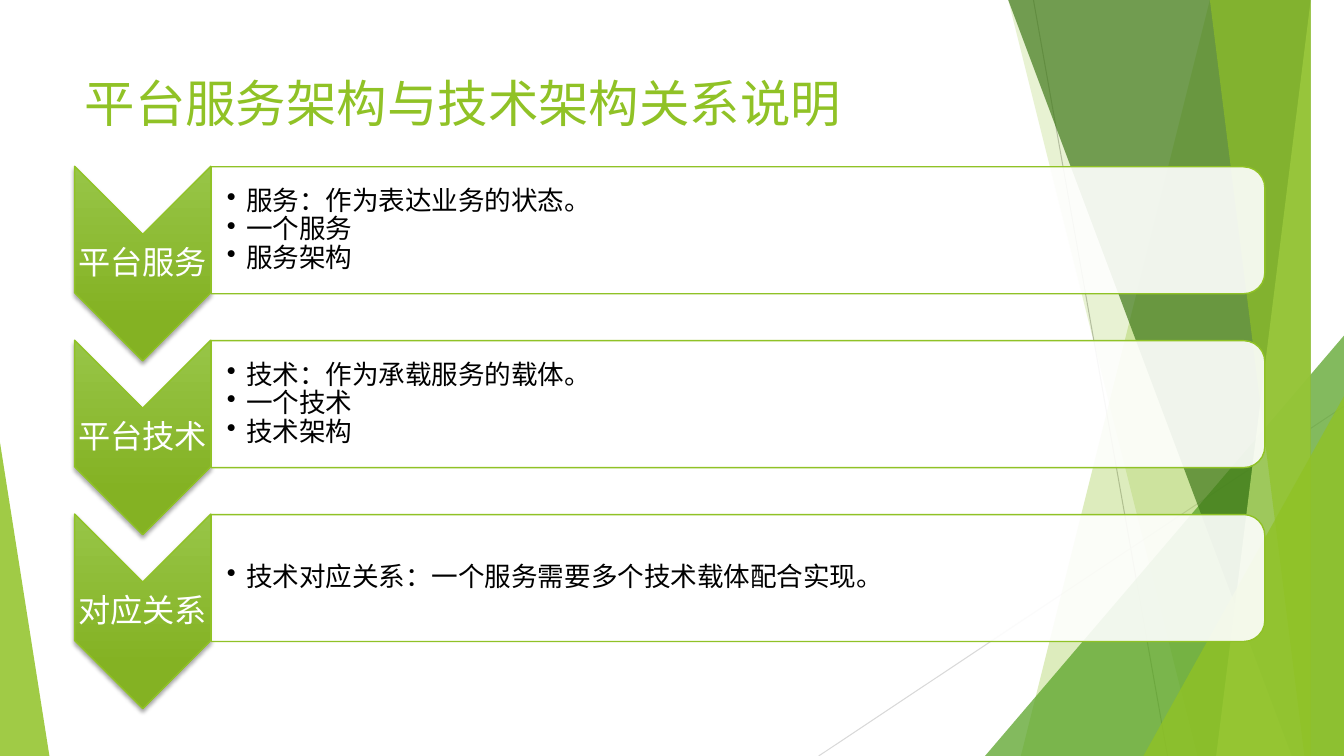
import pptx
import pptx.util
import pptx.oxml
import pptx.oxml.ns
import pptx.dml.color
import pptx.enum.shapes
import pptx.enum.text
from pptx.util import Inches

FONT = "Cabin"
GREEN = "90C226"
WHITE = "FFFFFF"
KIND = pptx.enum.shapes.MSO_SHAPE
ALIGN = pptx.enum.text.PP_ALIGN
ANCHOR = pptx.enum.text.MSO_ANCHOR

STEP = 1.725
ROWS = [
    ("平台服务", ["服务：作为表达业务的状态。", "一个服务", "服务架构"]),
    ("平台技术", ["技术：作为承载服务的载体。", "一个技术", "技术架构"]),
    ("对应关系", ["技术对应关系：一个服务需要多个技术载体配合实现。"]),
]


def color(code):
    return pptx.dml.color.RGBColor.from_string(code)


def node(tag, **attrs):
    item = pptx.oxml.parse_xml(f"<a:{tag} {pptx.oxml.ns.nsdecls('a')}/>")
    for key, value in attrs.items():
        item.set(key, str(value))
    return item


def paint(shape, code, alpha):
    """Fill a shape; alpha is its opacity in percent."""
    shape.shadow.inherit = False
    shape.fill.solid()
    shape.fill.fore_color.rgb = color(code)
    tint = shape.element.spPr.find(".//" + pptx.oxml.ns.qn("a:srgbClr"))
    tint.append(node("alpha", val=alpha * 1000))


def outline(shape, code, width):
    shape.line.color.rgb = color(code)
    shape.line.width = pptx.util.Pt(width)


def preset(slide, kind, box, turn=0):
    shape = slide.shapes.add_shape(kind, *map(Inches, box))
    shape.rotation = turn
    return shape


def wedge(slide, points, code, alpha):
    """Draw a borderless polygon."""
    pen = slide.shapes.build_freeform(*points[0], scale=Inches(1))
    pen.add_line_segments(points[1:], close=True)
    shape = pen.convert_to_shape()
    paint(shape, code, alpha)
    shape.line.fill.background()


def corner(slide, box, peak, code, alpha):
    """Draw a borderless triangle with its top at the share peak of its width."""
    shape = preset(slide, KIND.ISOSCELES_TRIANGLE, box)
    shape.adjustments[0] = peak
    paint(shape, code, alpha)
    shape.line.fill.background()


def thread(slide, start, end, code):
    line = slide.shapes.add_connector(
        pptx.enum.shapes.MSO_CONNECTOR.STRAIGHT, *map(Inches, start + end))
    outline(line, code, 0.75)
    line.element.spPr.append(node("effectLst"))


def write(frame, lines, size, code, align=ALIGN.LEFT, anchor=ANCHOR.MIDDLE,
          pads=(0.1, 0.05, 0.1, 0.05), space=0.9, bullet=False):
    frame.word_wrap = True
    frame.auto_size = pptx.enum.text.MSO_AUTO_SIZE.NONE
    frame.vertical_anchor = anchor
    (frame.margin_left, frame.margin_top,
     frame.margin_right, frame.margin_bottom) = map(Inches, pads)
    for index, line in enumerate(lines):
        para = frame.paragraphs[0] if index == 0 else frame.add_paragraph()
        para.alignment = align
        para.line_spacing = space
        if bullet:
            props = para._p.get_or_add_pPr()
            props.set("marL", str(Inches(0.19)))
            props.set("indent", str(Inches(-0.19)))
            props.append(node("buChar", char="•"))
        run = para.add_run()
        run.text = line
        run.font.name = FONT
        run.font.size = pptx.util.Pt(size)
        run.font.color.rgb = color(code)


def label(slide, box, lines, size, code, **style):
    frame = slide.shapes.add_textbox(*map(Inches, box)).text_frame
    write(frame, lines, size, code, **style)


def arrow(slide, top):
    shape = preset(slide, KIND.CHEVRON, (0.45, top + 0.29, 1.93, 1.35), 90)
    outline(shape, GREEN, 1)
    shape.fill.gradient()
    shape.fill.gradient_angle = 270
    stops = zip(shape.fill.gradient_stops, ("97C547", "84B223"), (0, 0.78))
    for stop, code, place in stops:
        stop.color.rgb = color(code)
        stop.position = place
    props = shape.element.spPr
    props.find(pptx.oxml.ns.qn("a:gradFill")).set("rotWithShape", "0")
    shape.shadow.inherit = False
    shade = node("outerShdw", blurRad=pptx.util.Pt(3), dist=pptx.util.Pt(2),
                 dir=5400000, rotWithShape=0)
    tint = node("srgbClr", val="000000")
    tint.append(node("alpha", val=35000))
    shade.append(tint)
    props.find(pptx.oxml.ns.qn("a:effectLst")).append(shade)


def row(slide, top, name, lines):
    arrow(slide, top)
    label(slide, (0.74, top + 0.68, 1.35, 0.58), [name], 23, WHITE,
          align=ALIGN.CENTER, pads=(0.02,) * 4)
    panel = preset(slide, KIND.ROUND_2_SAME_RECTANGLE,
                   (6.69, top - 4.59, 1.26, 10.45), 90)
    paint(panel, WHITE, 90)
    outline(panel, GREEN, 1)
    label(slide, (2.1, top + 0.07, 10.39, 1.13), lines, 19, "000000",
          pads=(0.15, 0.01, 0.01, 0.01), bullet=True)


def band(slide, upper, lower, code, alpha):
    """Fill from a slanted left edge to the right side of the slide."""
    wedge(slide, [(upper, -0.01), (13.33, -0.01), (13.33, 7.5), (lower, 7.5)],
          code, alpha)


def decor(slide):
    thread(slide, (10.25, 0), (11.58, 7.5), "BFBFBF")
    thread(slide, (13.33, 4.03), (8.12, 7.5), "D9D9D9")
    band(slide, 12.28, 10.04, GREEN, 30)
    band(slide, 10.5, 11.83, GREEN, 20)
    corner(slide, (9.77, 3.33, 3.56, 4.17), 1, "54A021", 72)
    band(slide, 10.21, 12.91, "3F7819", 70)
    band(slide, 13.03, 11.92, "C0E474", 70)
    band(slide, 11.96, 13.18, GREEN, 65)
    corner(slide, (11.34, 3.93, 1.99, 3.57), 1, GREEN, 80)
    corner(slide, (0, 4.39, 0.49, 3.11), 0, GREEN, 85)


def heading(slide, text):
    title = slide.shapes.title
    title.left, title.top, title.width, title.height = map(
        Inches, (0.74, 0.67, 9.4, 1.44))
    write(title.text_frame, [text], 36, GREEN, anchor=ANCHOR.TOP, space=1.0)
    title.element.getparent().append(title.element)


def main():
    deck = pptx.Presentation()
    deck.slide_width, deck.slide_height = Inches(13.33), Inches(7.5)
    slide = deck.slides.add_slide(deck.slide_layouts[5])
    decor(slide)
    heading(slide, "平台服务架构与技术架构关系说明")
    for index, (name, lines) in enumerate(ROWS):
        row(slide, 1.65 + index * STEP, name, lines)
    deck.save("out.pptx")


if __name__ == "__main__":
    main()
